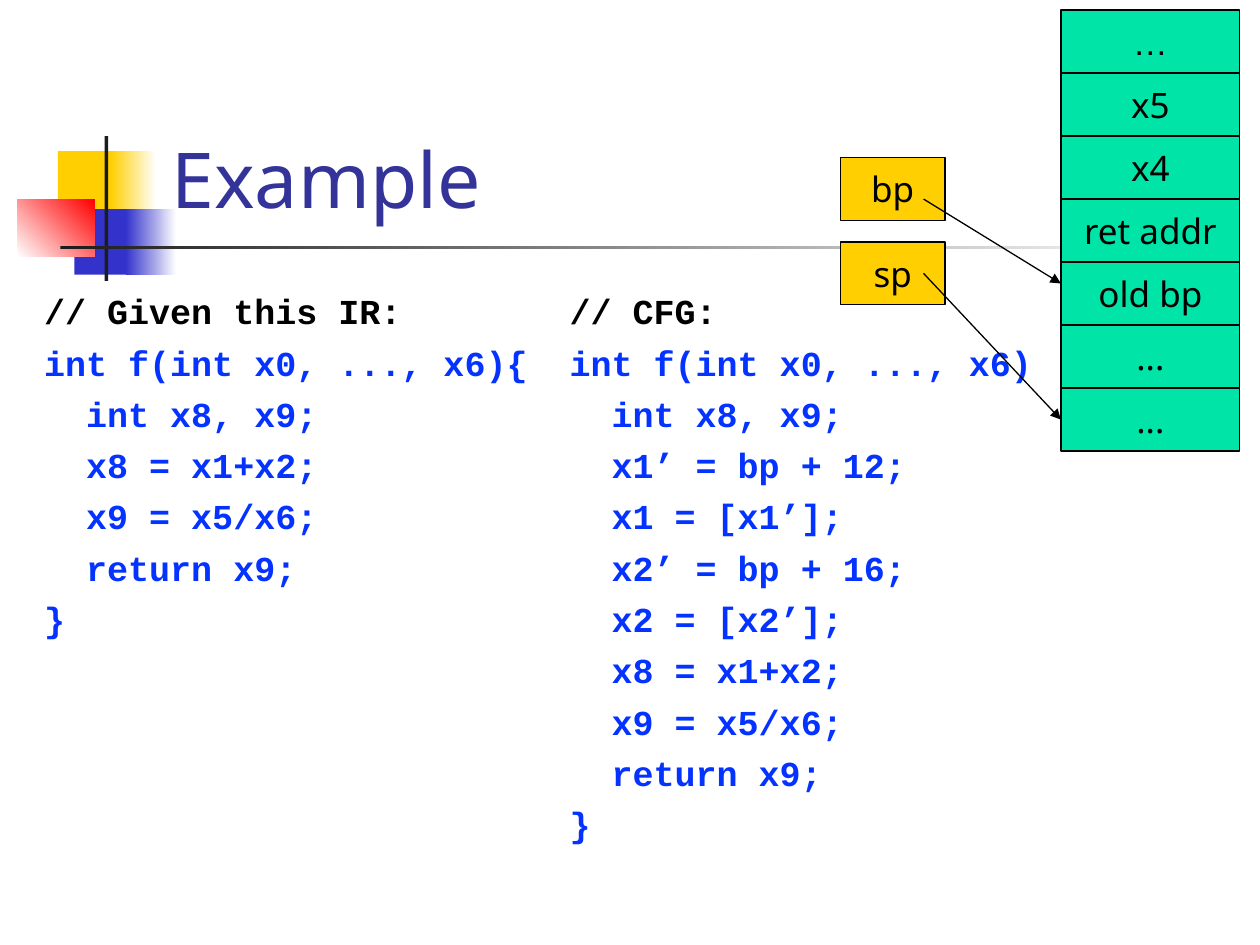
from lxml.etree import SubElement
from pptx import Presentation
from pptx.dml.color import RGBColor
from pptx.enum.shapes import MSO_CONNECTOR, MSO_SHAPE
from pptx.enum.text import MSO_ANCHOR, MSO_AUTO_SIZE, PP_ALIGN
from pptx.oxml.ns import qn
from pptx.util import Inches, Pt

BLACK = RGBColor(0x00, 0x00, 0x00)
WHITE = RGBColor(0xFF, 0xFF, 0xFF)
CHARCOAL = RGBColor(0x1C, 0x1C, 0x1C)
YELLOW = RGBColor(0xFF, 0xCF, 0x01)
BLUE = RGBColor(0x33, 0x33, 0xCC)
RED = RGBColor(0xFF, 0x00, 0x00)
TITLE_BLUE = RGBColor(0x33, 0x33, 0x99)
CODE_BLUE = RGBColor(0x04, 0x32, 0xFF)
GREEN = RGBColor(0x00, 0xE4, 0xA8)

IR_CODE = [
    "// Given this IR:",
    "int f(int x0, ..., x6){",
    "  int x8, x9;",
    "  x8 = x1+x2;",
    "  x9 = x5/x6;",
    "  return x9;",
    "}",
]
CFG_CODE = [
    "// CFG:",
    "int f(int x0, ..., x6)",
    "  int x8, x9;",
    "  x1’ = bp + 12;",
    "  x1 = [x1’];",
    "  x2’ = bp + 16;",
    "  x2 = [x2’];",
    "  x8 = x1+x2;",
    "  x9 = x5/x6;",
    "  return x9;",
    "}",
]
STACK_CELLS = ["…", "x5", "x4", "ret addr", "old bp", "...", "..."]


def place(shape, left, top, width, height):
    shape.left, shape.top = Inches(left), Inches(top)
    shape.width, shape.height = Inches(width), Inches(height)


def add_run(paragraph, text, size, font, color, bold=False):
    run = paragraph.add_run()
    run.text = text
    run.font.size = Pt(size)
    run.font.name = font
    run.font.bold = bold
    run.font.color.rgb = color


def add_rectangle(slide, left, top, width, height):
    shape = slide.shapes.add_shape(
        MSO_SHAPE.RECTANGLE, Inches(left), Inches(top), Inches(width), Inches(height))
    shape.shadow.inherit = False
    return shape


def add_decoration(slide, left, top):
    """Draw the squares and the two crossing bars beside the title."""
    parts = [
        (0.32, 0.12, 0.48, 0.52, [YELLOW], 0),
        (0.74, 0.12, 0.36, 0.52, [YELLOW, WHITE], 0),
        (0.45, 0.58, 0.46, 0.52, [BLUE], 0),
        (0.86, 0.58, 0.40, 0.52, [BLUE, WHITE], 0),
        (0.00, 0.50, 0.61, 0.46, [WHITE, RED], 45),
        (0.69, 0.00, 0.03, 1.15, [CHARCOAL], 0),
        (0.34, 0.87, 9.00, 0.03, [CHARCOAL, WHITE], 0),
    ]
    for x, y, width, height, colors, angle in parts:
        shape = add_rectangle(slide, left + x, top + y, width, height)
        shape.line.fill.background()
        if len(colors) == 1:
            shape.fill.solid()
            shape.fill.fore_color.rgb = colors[0]
            continue
        shape.fill.gradient()
        shape.fill.gradient_angle = angle
        for stop, color in zip(shape.fill.gradient_stops, colors):
            stop.color.rgb = color


def fill_title(title, left, top, width, height):
    place(title, left, top, width, height)
    frame = title.text_frame
    frame.auto_size = MSO_AUTO_SIZE.NONE
    frame.vertical_anchor = MSO_ANCHOR.BOTTOM
    paragraph = frame.paragraphs[0]
    paragraph.alignment = PP_ALIGN.LEFT
    add_run(paragraph, "Example", 44, "Noto Sans", TITLE_BLUE)


def fill_code(body, lines, left, top, width, height):
    """Fill a body placeholder with code under a black comment line."""
    place(body, left, top, width, height)
    frame = body.text_frame
    frame.auto_size = MSO_AUTO_SIZE.NONE
    for index, line in enumerate(lines):
        paragraph = frame.add_paragraph() if index else frame.paragraphs[0]
        paragraph.space_before = Pt(5.3)
        properties = paragraph._p.get_or_add_pPr()
        properties.set("marL", str(Inches(0.38)))
        properties.set("indent", str(-Inches(0.38)))
        SubElement(properties, qn("a:buNone"))
        add_run(paragraph, line, 20, "Courier New", CODE_BLUE if index else BLACK, bold=True)


def add_cell(slide, text, color, left, top, width, height, font="Noto Sans"):
    cell = add_rectangle(slide, left, top, width, height)
    cell.fill.solid()
    cell.fill.fore_color.rgb = color
    cell.line.color.rgb = BLACK
    cell.line.width = Pt(0.75)
    frame = cell.text_frame
    frame.word_wrap = False
    frame.vertical_anchor = MSO_ANCHOR.MIDDLE
    paragraph = frame.paragraphs[0]
    paragraph.alignment = PP_ALIGN.CENTER
    add_run(paragraph, text, 20, font, BLACK)
    return cell


def add_stack(slide, left, top, width, cell_height):
    """Draw the stack frame and return its cells from top to bottom."""
    return [
        add_cell(slide, text, GREEN, left, top + index * cell_height, width, cell_height,
                 "Arial" if text == "…" else "Noto Sans")
        for index, text in enumerate(STACK_CELLS)
    ]


def add_arrow(slide, start_x, start_y, end_x, end_y):
    arrow = slide.shapes.add_connector(
        MSO_CONNECTOR.STRAIGHT, Inches(start_x), Inches(start_y), Inches(end_x), Inches(end_y))
    arrow.line.color.rgb = BLACK
    arrow.line.width = Pt(0.75)
    SubElement(arrow.line._get_or_add_ln(), qn("a:tailEnd"), type="triangle")
    SubElement(arrow._element.spPr, qn("a:effectLst"))
    return arrow


def add_registers(slide, left, top, stack):
    """Draw the bp and sp registers with arrows into the stack."""
    add_cell(slide, "bp", YELLOW, left, top, 0.83, 0.5)
    add_cell(slide, "sp", YELLOW, left, top + 0.67, 0.83, 0.5)
    start_x, end_x = left + 0.66, left + 1.75
    add_arrow(slide, start_x, top + 0.33, end_x, top + 1)
    stack_pointer = add_arrow(slide, start_x, top + 0.92, end_x, top + 2.08)
    stack_pointer.end_connect(stack[-1], 1)


def main():
    presentation = Presentation()
    presentation.slide_width, presentation.slide_height = Inches(10), Inches(7.5)
    slide = presentation.slides.add_slide(presentation.slide_layouts.get_by_name("Two Content"))
    title, ir_body, cfg_body = list(slide.placeholders)[:3]
    add_decoration(slide, 0.14, 1.08)
    fill_title(title, 1.26, 0.23, 8.52, 1.6)
    fill_code(ir_body, IR_CODE, 0.25, 2.25, 4.05, 4.5)
    fill_code(cfg_body, CFG_CODE, 4.42, 2.25, 4.67, 4.5)
    stack = add_stack(slide, 8.42, 0.08, 1.42, 0.5)
    add_registers(slide, 6.67, 1.25, stack)
    presentation.save("out.pptx")


if __name__ == "__main__":
    main()
